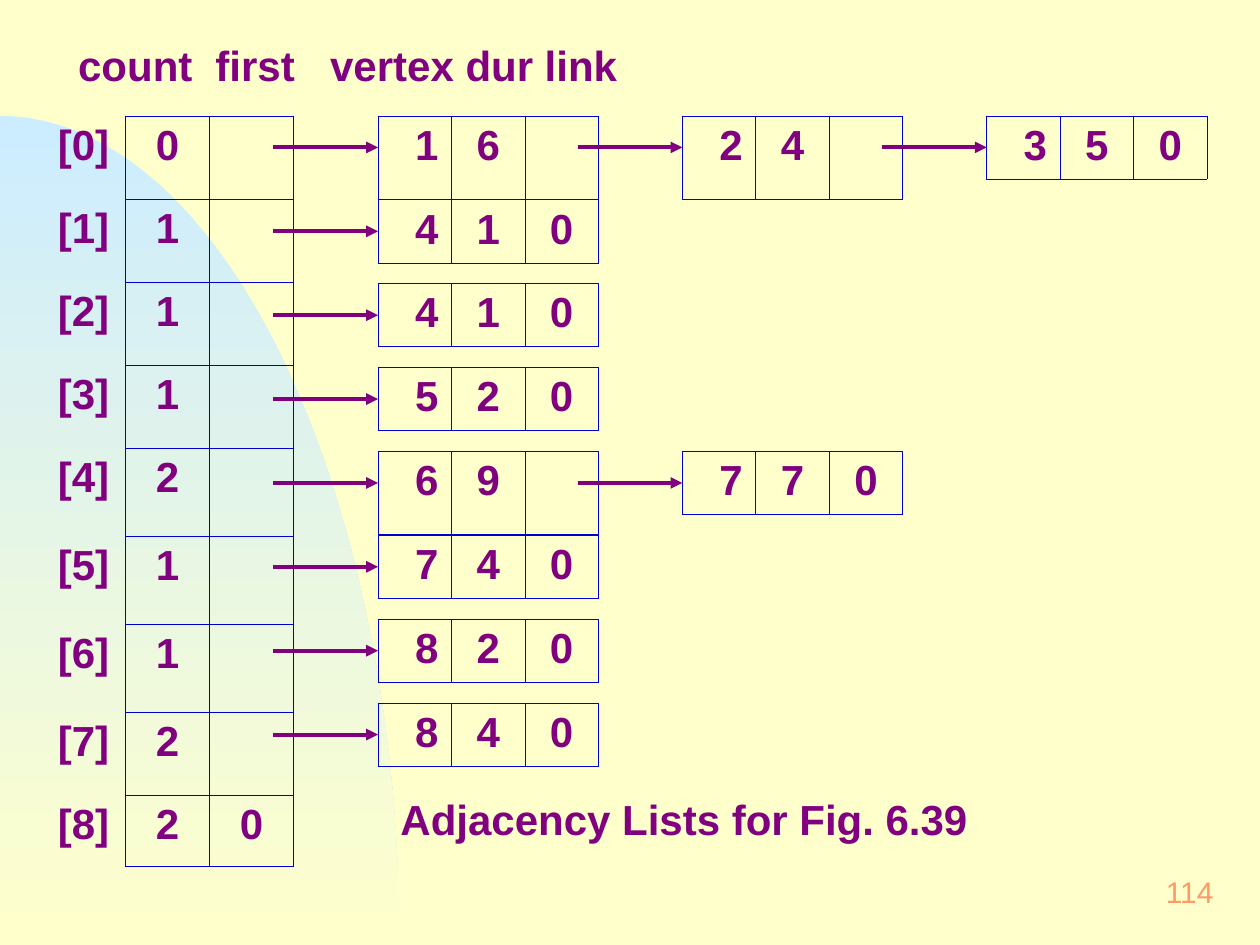
"""Build the slide of adjacency lists for an activity network."""
from dataclasses import dataclass
from math import cos, pi, sin

from lxml.etree import SubElement
from pptx import Presentation
from pptx.dml.color import RGBColor
from pptx.enum.shapes import MSO_CONNECTOR
from pptx.enum.text import MSO_ANCHOR, PP_ALIGN
from pptx.oxml.ns import qn
from pptx.util import Inches, Pt


@dataclass(frozen=True)
class Theme:
    """Hold the colours and type sizes of the slide."""
    font: str = "Arial"
    background: str = "FFFFCC"
    sky: str = "CCECFF"
    ink: str = "800080"
    border: str = "0000CC"
    number: str = "FF9966"
    body_size: float = 24
    empty_size: float = 33.5
    number_size: float = 17
    border_width: float = 0.45
    arrow_width: float = 2.25


THEME = Theme()
COUNTS = [0, 1, 1, 1, 2, 1, 1, 2, 2]
ROW_HEIGHTS = [0.64] * 4 + [0.7] * 3 + [0.64, 0.56]
LISTS = [
    [(1, 6), (2, 4), (3, 5)],
    [(4, 1)],
    [(4, 1)],
    [(5, 2)],
    [(6, 9), (7, 7)],
    [(7, 4)],
    [(8, 2)],
    [(8, 4)],
]
LIST_TOP = 0.92
LIST_STEP = 4.66 / 7
NODE_LEFT = 3
NODE_STEP = 2.415
NODE_WIDTH = 1.75
NODE_HEIGHT = 0.5
ARROW_LENGTH = 0.83


def color(value):
    """Turn a hex string into a colour."""
    return RGBColor.from_string(value)


def write_text(frame, text, size=THEME.body_size, ink=THEME.ink, bold=True,
               align=PP_ALIGN.LEFT, tab=None):
    """Write one formatted paragraph into a text frame."""
    para = frame.paragraphs[0]
    para.alignment = align
    if tab:
        stops = SubElement(para._p.get_or_add_pPr(), qn("a:tabLst"))
        SubElement(stops, qn("a:tab"), pos=str(Inches(tab)), algn="l")
    span = para.add_run()
    span.text = text
    span.font.name = THEME.font
    span.font.size = Pt(size)
    span.font.bold = bold
    span.font.color.rgb = color(ink)


def add_text(page, text, left, top, width, height, inset=(0.12, 0.06),
             wrap=True, anchor=MSO_ANCHOR.TOP, **text_format):
    """Add a text box."""
    box = page.shapes.add_textbox(Inches(left), Inches(top), Inches(width), Inches(height))
    frame = box.text_frame
    frame.word_wrap = wrap
    frame.vertical_anchor = anchor
    frame.margin_left = frame.margin_right = Inches(inset[0])
    frame.margin_top = frame.margin_bottom = Inches(inset[1])
    write_text(frame, text, **text_format)


def set_borders(cell, sides):
    """Draw the named sides of a cell and clear the others."""
    properties = cell._tc.get_or_add_tcPr()
    for side in "LRTB":
        line = SubElement(properties, qn(f"a:ln{side}"), w=str(Pt(THEME.border_width)))
        if side in sides:
            fill = SubElement(line, qn("a:solidFill"))
            SubElement(fill, qn("a:srgbClr"), val=THEME.border)
        else:
            SubElement(line, qn("a:noFill"))


def fill_cell(cell, text, sides="LRTB", indent=0):
    """Give a cell its borders and centred text."""
    set_borders(cell, sides)
    cell.fill.background()
    cell.margin_left = Inches(0.1 + indent)
    if text:
        write_text(cell.text_frame, text, align=PP_ALIGN.CENTER)
    else:
        end = SubElement(cell.text_frame.paragraphs[0]._p, qn("a:endParaRPr"),
                         sz=str(int(THEME.empty_size * 100)))
        SubElement(end, qn("a:latin"), typeface=THEME.font)


def add_plain_table(page, left, top, width, row_heights):
    """Add an unstyled table of three equal columns."""
    table = page.shapes.add_table(len(row_heights), 3, Inches(left), Inches(top),
                                  Inches(width), Inches(sum(row_heights))).table
    table.first_row = table.horz_banding = False
    for row, height in zip(table.rows, row_heights):
        row.height = Inches(height)
    return table


def add_head_table(page):
    """Add the table of indexes, counts and first links."""
    table = add_plain_table(page, 0.33, LIST_TOP, 2, ROW_HEIGHTS)
    for index, count in enumerate(COUNTS):
        first = "" if index < len(LISTS) else "0"
        fill_cell(table.cell(index, 0), f"[{index}]", sides="R")
        fill_cell(table.cell(index, 1), str(count))
        fill_cell(table.cell(index, 2), first)


def add_arrow(page, end, y):
    """Add a horizontal arrow that ends at a node."""
    arrow = page.shapes.add_connector(MSO_CONNECTOR.STRAIGHT, Inches(end - ARROW_LENGTH),
                                      Inches(y), Inches(end), Inches(y))
    arrow.line.color.rgb = color(THEME.ink)
    arrow.line.width = Pt(THEME.arrow_width)
    SubElement(arrow.line._get_or_add_ln(), qn("a:tailEnd"), type="triangle")
    SubElement(arrow._element.spPr, qn("a:effectLst"))


def add_list(page, nodes, top):
    """Add a linked list of nodes with an arrow into each."""
    for position, (vertex, duration) in enumerate(nodes):
        left = NODE_LEFT + position * NODE_STEP
        link = "0" if position == len(nodes) - 1 else ""
        table = add_plain_table(page, left, top, NODE_WIDTH, [NODE_HEIGHT])
        fill_cell(table.cell(0, 0), str(vertex), indent=0.19)
        fill_cell(table.cell(0, 1), str(duration))
        fill_cell(table.cell(0, 2), link)
        add_arrow(page, left, top + NODE_HEIGHT / 2)


def add_backdrop(page):
    """Add the quarter ellipse that fades into the background."""
    width, height, bottom, steps = 3.17, 6.58, 7.5, 60
    angles = [pi / 2 * step / steps for step in range(steps + 1)]
    points = [(Inches(width * sin(angle)), Inches(bottom - height * cos(angle)))
              for angle in angles]
    builder = page.shapes.build_freeform(0, Inches(bottom))
    builder.add_line_segments(points, close=True)
    shape = builder.convert_to_shape()
    shape.shadow.inherit = False
    shape.line.fill.background()
    shape.fill.gradient()
    shape.fill.gradient_angle = 270
    for stop, value, place in zip(shape.fill.gradient_stops,
                                  (THEME.sky, THEME.background), (0, 1)):
        stop.color.rgb = color(value)
        stop.position = place


def main():
    """Build and save the deck."""
    deck = Presentation()
    deck.slide_width, deck.slide_height = Inches(10), Inches(7.5)
    page = deck.slides.add_slide(deck.slide_layouts[6])
    page.background.fill.solid()
    page.background.fill.fore_color.rgb = color(THEME.background)
    add_backdrop(page)
    add_text(page, "114", 7.67, 6.83, 2.08, 0.5, wrap=False, anchor=MSO_ANCHOR.MIDDLE,
             size=THEME.number_size, ink=THEME.number, bold=False, align=PP_ALIGN.RIGHT)
    add_text(page, "count\tfirst", 0.5, 0.25, 2.08, 0.52, tab=1.09)
    add_text(page, "vertex dur link", 2.5, 0.25, 2.75, 0.52)
    add_head_table(page)
    for index, nodes in enumerate(LISTS):
        add_list(page, nodes, LIST_TOP + index * LIST_STEP)
    add_text(page, "Adjacency Lists for Fig. 6.39", 3.08, 6.25, 5.42, 0.5, inset=(0.1, 0.05))
    deck.save("out.pptx")


if __name__ == "__main__":
    main()
